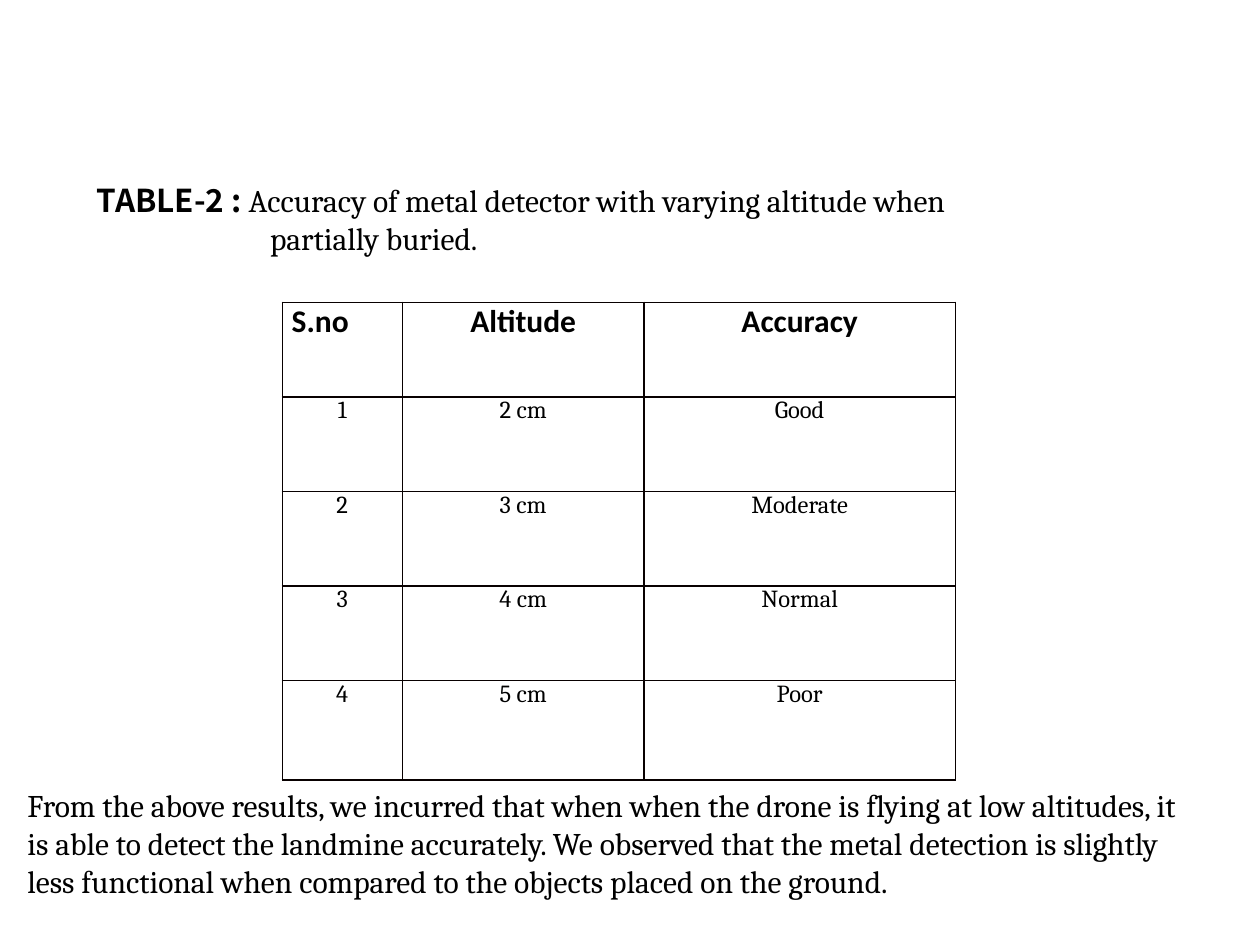
from lxml.etree import SubElement
from pptx import Presentation
from pptx.dml.color import RGBColor
from pptx.enum.text import PP_ALIGN
from pptx.oxml.ns import qn
from pptx.util import Pt

COLORS = {"text": "000000", "border": "080000"}


def style_font(font, name, size, bold=False):
    font.name = name
    font.size = Pt(size)
    font.bold = bold
    font.color.rgb = RGBColor.from_string(COLORS["text"])


def add_borders(cell):
    properties = cell._tc.get_or_add_tcPr()
    for position, side in enumerate(("lnL", "lnR", "lnT", "lnB")):
        line = properties.makeelement(qn(f"a:{side}"), {"w": str(Pt(1))})
        fill = SubElement(line, qn("a:solidFill"))
        SubElement(fill, qn("a:srgbClr"), val=COLORS["border"])
        properties.insert(position, line)


presentation = Presentation()
presentation.slide_width = Pt(720)
presentation.slide_height = Pt(540)
slide = presentation.slides.add_slide(presentation.slide_layouts[6])

caption = slide.shapes.add_textbox(Pt(48.2), Pt(100), Pt(541.4), Pt(51))
caption.text_frame.word_wrap = True
paragraph = caption.text_frame.paragraphs[0]
paragraph.alignment = PP_ALIGN.LEFT
paragraph_properties = paragraph._p.get_or_add_pPr()
paragraph_properties.set("marL", str(Pt(99)))
paragraph_properties.set("indent", str(-Pt(99)))
label = paragraph.add_run()
label.text = "TABLE-2 :"
style_font(label.font, "Noto Sans CJK KR", 18, True)
description = paragraph.add_run()
description.text = " Accuracy of metal detector with varying altitude when partially buried."
style_font(description.font, "Cambria", 18)

conclusion = slide.shapes.add_textbox(Pt(8.6), Pt(445.7), Pt(683.3), Pt(72.7))
conclusion.text_frame.word_wrap = True
paragraph = conclusion.text_frame.paragraphs[0]
paragraph.text = (
    "From the above results, we incurred that when when the drone is flying at low "
    "altitudes, it is able to detect the landmine accurately. We observed that the "
    "metal detection is slightly less functional when compared to the objects placed "
    "on the ground."
)
style_font(paragraph.font, "Cambria", 18)

rows = [
    ("S.no", "Altitude", "Accuracy"),
    ("1", "2 cm", "Good"),
    ("2", "3 cm", "Moderate"),
    ("3", "4 cm", "Normal"),
    ("4", "5 cm", "Poor"),
]
column_widths = (68.6, 138.2, 177.8)
row_heights = (54, 54, 54, 54, 56.9)
table = slide.shapes.add_table(
    len(rows), len(column_widths), Pt(161.3), Pt(172.8),
    Pt(sum(column_widths)), Pt(sum(row_heights)),
).table
for column, width in zip(table.columns, column_widths):
    column.width = Pt(width)
for row, height in zip(table.rows, row_heights):
    row.height = Pt(height)

for row_index, values in enumerate(rows):
    header = row_index == 0
    for column_index, value in enumerate(values):
        cell = table.cell(row_index, column_index)
        cell.fill.background()
        cell.margin_left = cell.margin_right = Pt(5.4)
        cell.margin_top = cell.margin_bottom = Pt(0)
        add_borders(cell)
        paragraph = cell.text_frame.paragraphs[0]
        paragraph.text = value
        left_aligned = header and column_index == 0
        paragraph.alignment = PP_ALIGN.LEFT if left_aligned else PP_ALIGN.CENTER
        if header:
            style_font(paragraph.font, "Calibri", 18, True)
        else:
            style_font(paragraph.font, "Cambria", 14)

presentation.save("out.pptx")
